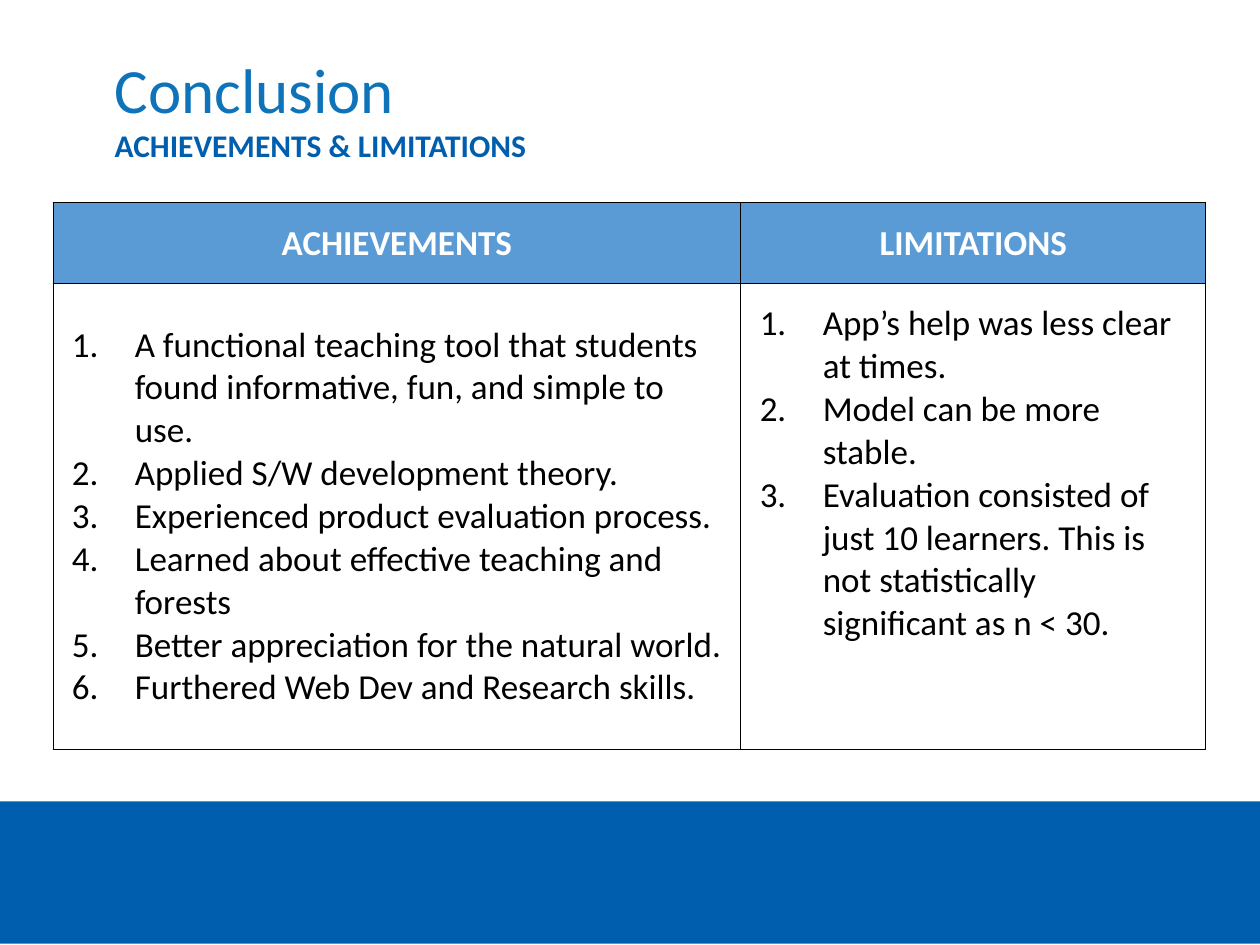
from collections import namedtuple

from lxml.etree import SubElement
from pptx import Presentation
from pptx.dml.color import RGBColor
from pptx.enum.shapes import MSO_SHAPE as Preset
from pptx.enum.text import MSO_ANCHOR as Anchor, PP_ALIGN as Align
from pptx.oxml.ns import qn
from pptx.util import Inches, Pt

BAND_BLUE = RGBColor(0x00, 0x5E, 0xAE)
TITLE_BLUE = RGBColor(0x0E, 0x73, 0xB9)
HEADER_BLUE = RGBColor(0x5B, 0x9B, 0xD5)
WHITE = RGBColor(0xFF, 0xFF, 0xFF)
BLACK = RGBColor(0x00, 0x00, 0x00)

COLUMNS, ROWS = 100, 75
WIDTH, HEIGHT = Inches(10), Inches(7.5)
Box = namedtuple("Box", "left top width height")

TITLE = {"size": Pt(36), "bold": False, "color": TITLE_BLUE}
SUBTITLE = {"size": Pt(18), "bold": True, "color": BAND_BLUE}
HEADING = {"size": Pt(20), "bold": True, "color": WHITE}
ITEM = {"size": Pt(20), "bold": False, "color": BLACK}
SIDES = ("left", "top", "right", "bottom")

ACHIEVEMENTS = (
    "A functional teaching tool that students found informative, fun, and simple to use.",
    "Applied S/W development theory.",
    "Experienced product evaluation process.",
    "Learned about effective teaching and forests",
    "Better appreciation for the natural world.",
    "Furthered Web Dev and Research skills.",
)
LIMITATIONS = (
    "App’s help was less clear at times.",
    "Model can be more stable.",
    "Evaluation consisted of just 10 learners. This is not statistically significant as n < 30.",
)


def across(columns):
    """Turn grid columns into a length."""
    return round(WIDTH * columns / COLUMNS)


def down(rows):
    """Turn grid rows into a length."""
    return round(HEIGHT * rows / ROWS)


def place(box):
    """Turn a grid box into left, top, width and height."""
    return across(box.left), down(box.top), across(box.width), down(box.height)


def write(para, text, style):
    """Add one styled span of text to a paragraph."""
    span = para.add_run()
    span.text = text
    span.font.name = "Calibri"
    for name, value in style.items():
        if name == "color":
            span.font.color.rgb = value
        else:
            setattr(span.font, name, value)


def number(para):
    """Give a paragraph a hanging automatic number."""
    props = para._p.get_or_add_pPr()
    props.set("marL", str(across(5)))
    props.set("indent", str(-across(5)))
    SubElement(props, qn("a:buAutoNum"), type="arabicPeriod")


def add_line(page, box, text, style, anchor):
    """Place one line of text in a box without margins."""
    frame = page.shapes.add_textbox(*place(box)).text_frame
    settings = {"word_wrap": True, "vertical_anchor": anchor}
    settings.update({f"margin_{side}": 0 for side in SIDES})
    for name, value in settings.items():
        setattr(frame, name, value)
    write(frame.paragraphs[0], text, style)


def add_heading(page, box):
    """Stack the title and subtitle in the box."""
    title_rows = box.height * 2 / 3
    title = box._replace(height=title_rows)
    subtitle = box._replace(top=box.top + title_rows, height=box.height - title_rows)
    add_line(page, title, "Conclusion", TITLE, Anchor.BOTTOM)
    add_line(page, subtitle, "ACHIEVEMENTS & LIMITATIONS", SUBTITLE, Anchor.TOP)


def add_band(page, box):
    """Fill the box with the footer colour."""
    band = page.shapes.add_shape(Preset.RECTANGLE, *place(box))
    band.shadow.inherit = False
    band.fill.solid()
    band.fill.fore_color.rgb = BAND_BLUE
    band.line.fill.background()


def format_cell(cell, anchor, color=None):
    """Set the margins, borders, anchor and fill of a cell."""
    cell.vertical_anchor = anchor
    for side in SIDES:
        setattr(cell, f"margin_{side}", across(1.5))
    props = cell._tc.get_or_add_tcPr()
    for edge in "LRTB":
        line = SubElement(props, qn(f"a:ln{edge}"), w=str(Pt(0.5)))
        paint = SubElement(line, qn("a:solidFill"))
        SubElement(paint, qn("a:srgbClr"), val=str(BLACK))
    if color is None:
        cell.fill.background()
    else:
        cell.fill.solid()
        cell.fill.fore_color.rgb = color


def add_comparison(page, box):
    """Place the table of achievements and limitations in the box."""
    table = page.shapes.add_table(2, 2, *place(box)).table
    header_rows = 6.4
    table.rows[0].height = down(header_rows)
    table.rows[1].height = down(box.height - header_rows)
    sides = (
        ("ACHIEVEMENTS", ACHIEVEMENTS, 54.6, Anchor.MIDDLE),
        ("LIMITATIONS", LIMITATIONS, box.width - 54.6, Anchor.TOP),
    )
    for index, (heading, items, width, anchor) in enumerate(sides):
        table.columns[index].width = across(width)
        header, body = table.cell(0, index), table.cell(1, index)
        format_cell(header, Anchor.MIDDLE, HEADER_BLUE)
        format_cell(body, anchor)
        para = header.text_frame.paragraphs[0]
        para.alignment = Align.CENTER
        write(para, heading, HEADING)
        frame = body.text_frame
        for position, item in enumerate(items):
            para = frame.add_paragraph() if position else frame.paragraphs[0]
            number(para)
            write(para, item, ITEM)


def main():
    """Build and save the deck."""
    deck = Presentation()
    deck.slide_width, deck.slide_height = WIDTH, HEIGHT
    page = deck.slides.add_slide(deck.slide_layouts[6])
    add_band(page, Box(0, 63.6, COLUMNS, 11.3))
    add_heading(page, Box(9.1, 3.9, 82, 9.1))
    add_comparison(page, Box(4.2, 16.1, 91.5, 43.4))
    deck.save("out.pptx")


if __name__ == "__main__":
    main()
